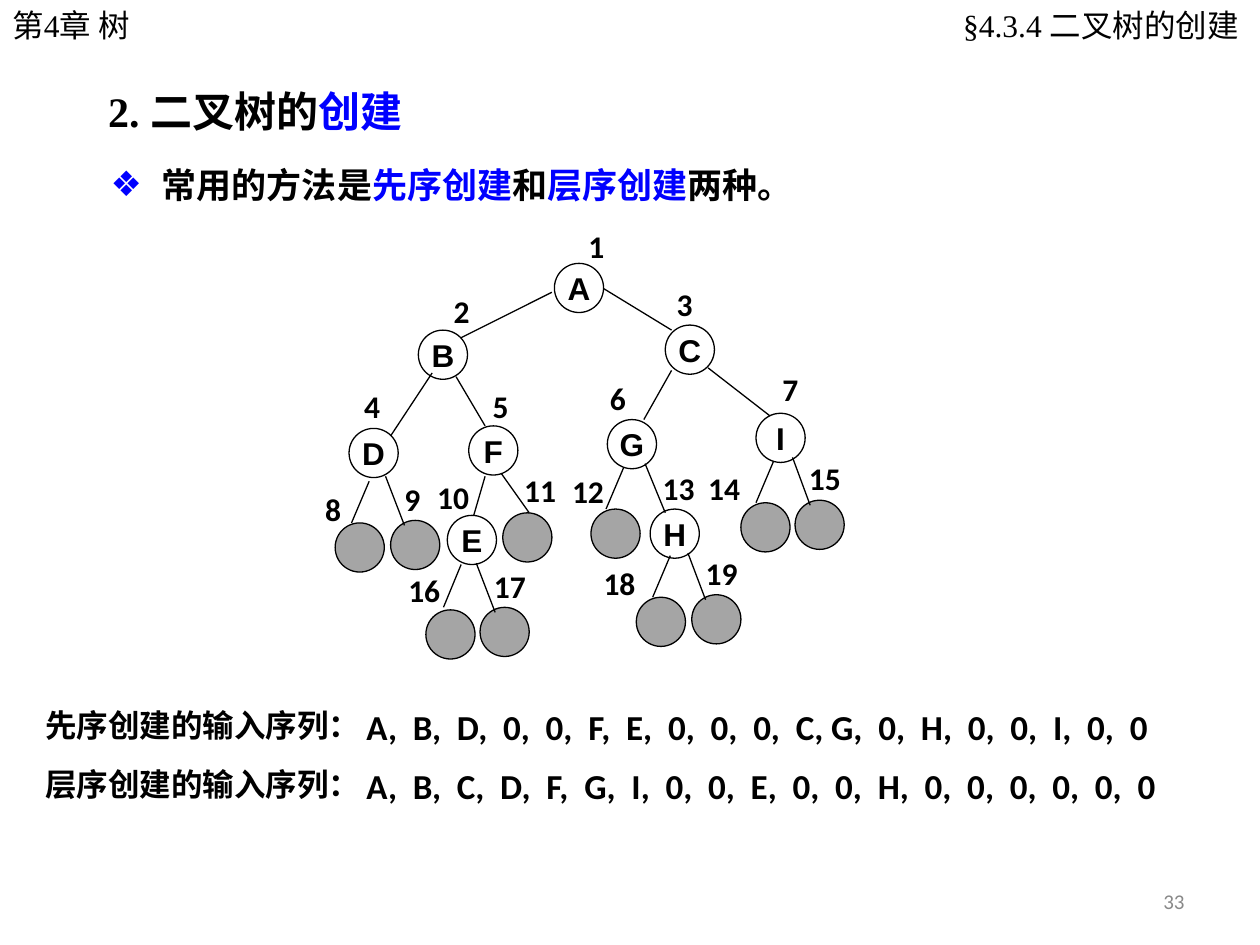
from lxml import etree
from pptx import Presentation
from pptx.dml.color import RGBColor
from pptx.enum.shapes import MSO_CONNECTOR, MSO_SHAPE
from pptx.enum.text import MSO_ANCHOR, MSO_AUTO_SIZE, PP_ALIGN
from pptx.oxml.ns import qn
from pptx.util import Cm, Pt

LEFT, CENTER, RIGHT = PP_ALIGN.LEFT, PP_ALIGN.CENTER, PP_ALIGN.RIGHT
TOP, MIDDLE = MSO_ANCHOR.TOP, MSO_ANCHOR.MIDDLE
OVAL, STRAIGHT = MSO_SHAPE.OVAL, MSO_CONNECTOR.STRAIGHT
NO_AUTOFIT = MSO_AUTO_SIZE.NONE
BLACK, BLUE, WHITE, LEAF, MUTED = "000000", "0000FF", "FFFFFF", "A5A5A5", "898989"
SERIF, SANS, NUMERIC = "Times New Roman", "Arial", "Calibri"
CM_PER_INCH = 2.54
DIAMETER = 0.39

TITLE = [("2. 二叉树的", BLACK), ("创建", BLUE)]
METHODS = [("常用的方法是", BLACK), ("先序创建", BLUE), ("和", BLACK),
           ("层序创建", BLUE), ("两种。", BLACK)]
HEADERS = [
    ("第4章 树", 0, 2.09, LEFT),
    ("§4.3.4 二叉树的创建", 6.18, 3.75, RIGHT),
]
SEQUENCES = [
    ("先序创建的输入序列：",
     "A,  B,  D,  0,  0,  F,  E,  0,  0,  0,  C, G,  0,  H,  0,  0,  I,  0,  0"),
    ("层序创建的输入序列：",
     "A,  B,  C,  D,  F,  G,  I,  0,  0,  E,  0,  0,  H,  0,  0,  0,  0,  0,  0"),
]
SEQUENCE_TOP, SEQUENCE_STEP = 5.55, 0.47

# letter, circle corner, number corner, branch from the parent
NODES = [
    ("A", (4.4, 2.09), (4.67, 1.8), None),
    ("B", (3.32, 2.62), (3.6, 2.32), (4.38, 2.32, 3.66, 2.68)),
    ("C", (5.28, 2.58), (5.37, 2.26), (4.79, 2.29, 5.33, 2.62)),
    ("D", (2.77, 3.4), (2.89, 3.07), (3.43, 2.96, 3.1, 3.46)),
    ("F", (3.72, 3.38), (3.91, 3.07), (3.62, 2.99, 3.85, 3.38)),
    ("G", (4.82, 3.33), (4.84, 3.01), (5.33, 2.94, 5.11, 3.33)),
    ("I", (6, 3.28), (6.21, 2.94), (5.62, 2.92, 6.11, 3.3)),
    ("", (2.66, 4.15), (2.58, 3.89), (2.93, 3.82, 2.79, 4.15)),
    ("", (3.1, 4.13), (3.21, 3.81), (3.06, 3.78, 3.21, 4.17)),
    ("E", (3.55, 4.09), (3.47, 3.79), (3.85, 3.78, 3.76, 4.09)),
    ("", (3.99, 4.07), (4.16, 3.74), (3.98, 3.76, 4.2, 4.07)),
    ("", (4.69, 4.04), (4.54, 3.75), (4.95, 3.71, 4.81, 4.04)),
    ("H", (5.16, 4.04), (5.26, 3.72), (5.12, 3.68, 5.28, 4.07)),
    ("", (5.88, 3.99), (5.62, 3.72), (6.14, 3.66, 6, 3.99)),
    ("", (6.31, 3.97), (6.42, 3.64), (6.29, 3.63, 6.43, 4.01)),
    ("", (3.38, 4.84), (3.24, 4.53), (3.66, 4.48, 3.52, 4.82)),
    ("", (3.81, 4.82), (3.92, 4.5), (3.78, 4.47, 3.93, 4.86)),
    ("", (5.05, 4.74), (4.79, 4.48), (5.32, 4.41, 5.18, 4.74)),
    ("", (5.49, 4.72), (5.6, 4.4), (5.46, 4.39, 5.6, 4.76)),
]


def lengths(*inches):
    return [Cm(value * CM_PER_INCH) for value in inches]


def color(hex_value):
    return RGBColor.from_string(hex_value)


def write(shape, spans, size, font, bold=False, align=LEFT, anchor=TOP,
          wrap=True, inset=True):
    frame = shape.text_frame
    frame.auto_size = NO_AUTOFIT
    frame.word_wrap = wrap
    frame.vertical_anchor = anchor
    frame.margin_left = frame.margin_right = Cm(0.25 if inset else 0)
    frame.margin_top = frame.margin_bottom = Cm(0.13 if inset else 0)
    para = frame.paragraphs[0]
    para.alignment = align
    para.space_before = Pt(0)
    para.font.size = Pt(size)
    para.font.name = font
    para.font.bold = bold
    for text, hex_value in spans:
        span = para.add_run()
        span.text = text
        span.font.color.rgb = color(hex_value)


def add_text(page, at, text, *style, hex_value=BLACK, **options):
    box = page.shapes.add_textbox(*lengths(*at))
    write(box, [(text, hex_value)], *style, **options)


def place(shape, *at):
    shape.left, shape.top, shape.width, shape.height = lengths(*at)


def add_bullet(para, mark, hex_value, indent):
    properties = para._p.get_or_add_pPr()
    properties.set("marL", str(indent))
    properties.set("indent", str(-indent))
    tint = etree.SubElement(properties, qn("a:buClr"))
    etree.SubElement(tint, qn("a:srgbClr"), val=hex_value)
    etree.SubElement(properties, qn("a:buFont"), typeface=SANS)
    etree.SubElement(properties, qn("a:buChar"), char=mark)


def add_circle(page, letter, corner):
    circle = page.shapes.add_shape(OVAL, *lengths(*corner, DIAMETER, DIAMETER))
    circle.shadow.inherit = False
    circle.fill.solid()
    circle.fill.fore_color.rgb = color(WHITE if letter else LEAF)
    circle.line.color.rgb = color(BLACK)
    circle.line.width = Pt(0.75)
    if letter:
        write(circle, [(letter, BLACK)], 18, SANS, bold=True, align=CENTER,
              anchor=MIDDLE, wrap=False, inset=False)


def add_branch(page, ends):
    branch = page.shapes.add_connector(STRAIGHT, *lengths(*ends))
    branch.line.color.rgb = color(BLACK)
    branch.line.width = Pt(0.75)
    etree.SubElement(branch._element.spPr, qn("a:effectLst"))


def add_tree(page):
    for number, (_, _, corner, _) in enumerate(NODES, 1):
        width = 0.27 if number < 10 else 0.45
        add_text(page, (*corner, width, 0.3), str(number), 18, NUMERIC,
                 bold=True, inset=False)
    for letter, corner, _, _ in NODES:
        add_circle(page, letter, corner)
    for _, _, _, ends in NODES:
        if ends:
            add_branch(page, ends)


def main():
    deck = Presentation()
    deck.slide_width, deck.slide_height = lengths(10, 7.5)
    page = deck.slides.add_slide(deck.slide_layouts[1])
    title, body = page.placeholders
    place(title, 0.76, 0.63, 3, 0.5)
    write(title, TITLE, 24, SERIF, bold=True)
    place(body, 0.78, 1.25, 5.82, 0.44)
    add_bullet(body.text_frame.paragraphs[0], "❖", BLUE, Cm(1.03))
    write(body, METHODS, 20, SERIF, bold=True)

    for text, left, width, align in HEADERS:
        add_text(page, (left, 0, width, 0.4), text, 18, SERIF, align=align)
    add_tree(page)
    for row, (label, sequence) in enumerate(SEQUENCES):
        top = SEQUENCE_TOP + row * SEQUENCE_STEP
        add_text(page, (0.26, top, 2.7, 0.4), label, 18, SERIF, bold=True,
                 wrap=False)
        add_text(page, (2.81, top, 6.87, 0.44), sequence, 20, NUMERIC, bold=True)
    add_text(page, (7.17, 6.95, 2.33, 0.4), "33", 12, NUMERIC,
             hex_value=MUTED, align=RIGHT, anchor=MIDDLE)
    deck.save("out.pptx")


if __name__ == "__main__":
    main()
